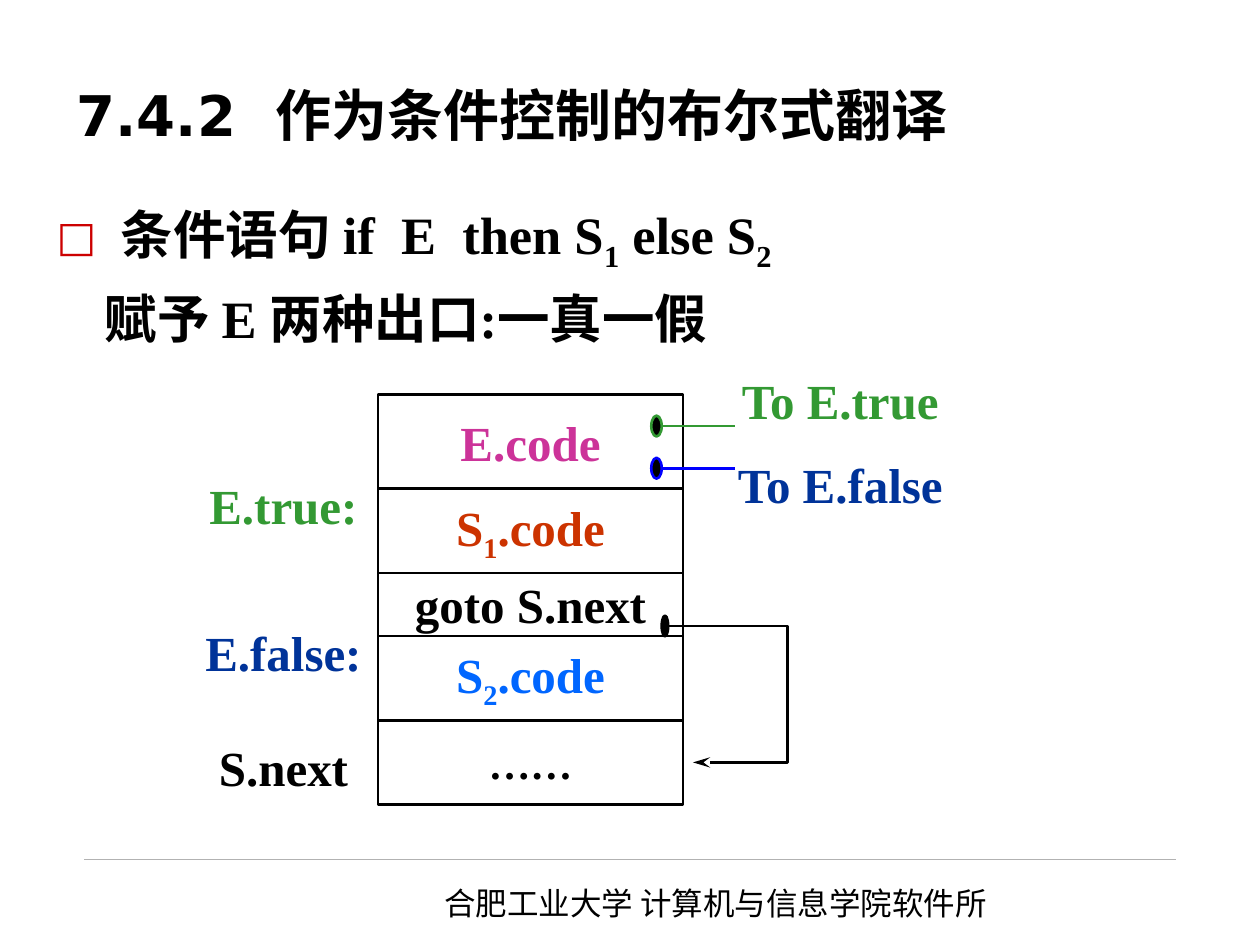
from lxml import etree
from pptx import Presentation
from pptx.dml.color import RGBColor
from pptx.enum.shapes import MSO_CONNECTOR as CONN, MSO_SHAPE as SHAPE
from pptx.enum.text import MSO_ANCHOR as ANCHOR, PP_ALIGN as ALIGN
from pptx.oxml.ns import qn
from pptx.util import Cm, Pt

SERIF = "Times New Roman"
SANS = "DejaVu Sans"
CJK = "Noto Sans CJK SC"
BLACK, GREEN, NAVY, BLUE = "000000", "339933", "003399", "0000FF"
CODE_LEFT, CODE_WIDTH, CODE_TOP = 7.62, 6.15, 7.95


def rgb(value):
    return RGBColor.from_string(value)


def add_xml(parent, tag, **attributes):
    return etree.SubElement(parent, qn(tag), attributes)


def add_runs(p, text, size=28, color=BLACK, font=SERIF, bold=True):
    for i, part in enumerate(text.split("_")):
        pieces = [(part, False)] if i == 0 else [(part[0], True), (part[1:], False)]
        for piece, lowered in pieces:
            if not piece:
                continue
            r = p.add_run()
            r.text = piece
            f = r.font
            f.size, f.bold, f.name = Pt(size), bold, font
            f.color.rgb = rgb(color)
            rpr = r._r.get_or_add_rPr()
            add_xml(rpr, "a:ea", typeface=CJK)
            if lowered:
                rpr.set("baseline", "-25000")


def write(sp, text, align=ALIGN.CENTER, anchor=ANCHOR.MIDDLE, wrap=False, **fmt):
    tf = sp.text_frame
    tf.word_wrap, tf.vertical_anchor = wrap, anchor
    p = tf.paragraphs[0]
    p.alignment = align
    add_runs(p, text, **fmt)
    return tf


def add_text(s, box, text, **fmt):
    return write(s.shapes.add_textbox(*map(Cm, box)), text, **fmt)


def set_line(sp, color, width=1.5):
    sp.line.color.rgb = rgb(color)
    sp.line.width = Pt(width)


def add_block(s, top, height, text, **fmt):
    sp = s.shapes.add_shape(
        SHAPE.RECTANGLE, Cm(CODE_LEFT), Cm(top), Cm(CODE_WIDTH), Cm(height))
    sp.shadow.inherit = False
    sp.fill.background()
    set_line(sp, BLACK)
    write(sp, text, **fmt)


def add_dot(s, x, y, width, color):
    sp = s.shapes.add_shape(SHAPE.OVAL, Cm(x), Cm(y - 0.21), Cm(width), Cm(0.42))
    sp.shadow.inherit = False
    sp.fill.solid()
    sp.fill.fore_color.rgb = rgb(BLACK)
    set_line(sp, color)


def add_rule(s, x1, x2, y, color, width=1.5):
    c = s.shapes.add_connector(CONN.STRAIGHT, Cm(x1), Cm(y), Cm(x2), Cm(y))
    set_line(c, color, width)
    add_xml(c._element.spPr, "a:effectLst")


def add_jump(s, points):
    start, *rest = [(Cm(x), Cm(y)) for x, y in points]
    builder = s.shapes.build_freeform(*start)
    builder.add_line_segments(rest, close=False)
    sp = builder.convert_to_shape()
    sp.shadow.inherit = False
    sp.fill.background()
    set_line(sp, BLACK)
    add_xml(sp.line._get_or_add_ln(), "a:tailEnd", type="stealth", len="lg")


def add_body(s):
    tf = add_text(s, (0.89, 3.94, 21.97, 3.61), "条件语句 if  E  then S_1 else S_2",
                  size=30, align=ALIGN.JUSTIFY, anchor=ANCHOR.TOP, wrap=True)
    ppr = tf.paragraphs[0]._p.get_or_add_pPr()
    ppr.set("marL", str(Cm(1.3)))
    ppr.set("indent", str(Cm(-1.3)))
    add_xml(add_xml(ppr, "a:buClr"), "a:srgbClr", val="CC0000")
    add_xml(ppr, "a:buSzPct", val="80000")
    add_xml(ppr, "a:buFont", typeface=SANS)
    add_xml(ppr, "a:buChar", char="□")
    p = tf.add_paragraph()
    p.alignment, p.space_before = ALIGN.JUSTIFY, Pt(7.5)
    p._p.get_or_add_pPr().set("marL", str(Cm(0.97)))
    add_runs(p, "赋予 E 两种出口:一真一假", size=30)


def add_code_blocks(s):
    blocks = [
        (1.9, "E.code", "CC3399", 28),
        (1.7, "S_1.code", "CC3300", 28),
        (1.27, "goto S.next", BLACK, 28),
        (1.7, "S_2.code", "0066FF", 28),
        (1.7, "……", BLACK, 24),
    ]
    top = CODE_TOP
    for height, text, color, size in blocks:
        add_block(s, top, height, text, color=color, size=size)
        top += height


def add_labels(s):
    labels = [
        (14.44, 7.32, 5, "To E.true", GREEN),
        (14.44, 9.02, 5, "To E.false", NAVY),
        (3.81, 9.45, 3.81, "E.true:", GREEN),
        (3.81, 12.4, 3.81, "E.false:", NAVY),
        (3.81, 14.73, 3.81, "S.next", BLACK),
    ]
    for left, top, width, text, color in labels:
        add_text(s, (left, top, width, 1.47), text, color=color)


def main():
    prs = Presentation()
    prs.slide_width, prs.slide_height = Cm(25.4), Cm(19.05)
    s = prs.slides.add_slide(prs.slide_layouts[6])
    add_rule(s, 1.7, 23.7, 17.32, "B2B2B2", 0.25)
    add_text(s, (8.71, 17.7, 12.8, 1.02), "合肥工业大学 计算机与信息学院软件所",
             size=18, font=CJK, bold=False, align=ALIGN.LEFT, wrap=True)
    add_text(s, (1.3, 0.71, 22.02, 3.18), "7.4.2  作为条件控制的布尔式翻译",
             size=32, font=SANS, align=ALIGN.LEFT, wrap=True)
    add_body(s)
    add_code_blocks(s)
    for y, color in ((8.59, GREEN), (9.44, BLUE)):
        add_rule(s, 13.34, 14.82, y, color)
        add_dot(s, 13.13, y, 0.21, color)
    add_jump(s, [(13.46, 12.62), (15.88, 12.62), (15.88, 15.37), (13.97, 15.37)])
    add_dot(s, 13.34, 12.62, 0.13, BLACK)
    add_labels(s)
    prs.save("out.pptx")


if __name__ == "__main__":
    main()
